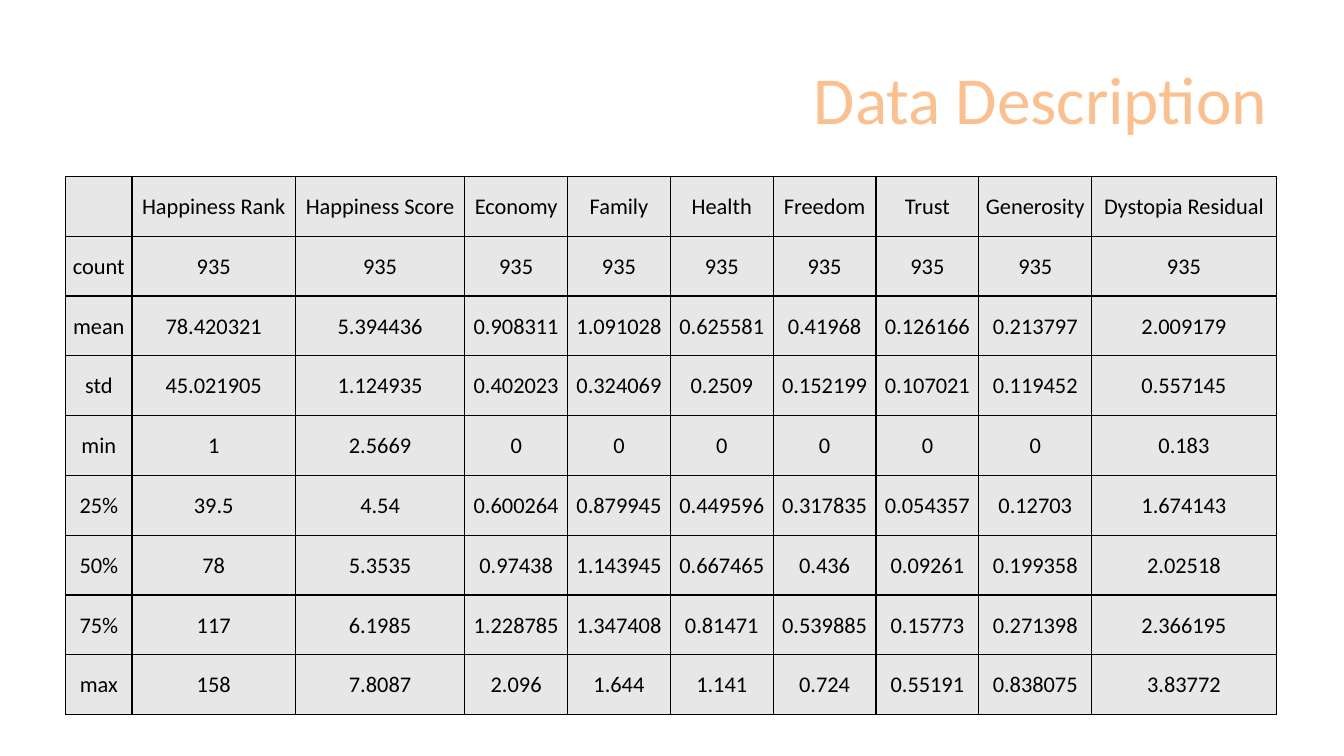
from dataclasses import dataclass

from lxml.etree import SubElement
from pptx import Presentation
from pptx.dml.color import RGBColor as RGB
from pptx.enum.text import MSO_ANCHOR as Anchor, PP_ALIGN as Align
from pptx.oxml.ns import qn
from pptx.util import Inches, Pt


@dataclass(frozen=True)
class Theme:
    font: str = "Calibri"
    title_color: str = "FAC090"
    text_color: str = "000000"
    cell_color: str = "E7E7E7"
    border_color: str = "000000"
    title_size: int = 48
    cell_size: int = 16
    border_width: int = 1


theme = Theme()


def write(frame, text, *, size, color, align):
    paragraph = frame.paragraphs[0]
    paragraph.alignment = align
    run = paragraph.add_run()
    run.text = text
    run.font.name = theme.font
    run.font.size = Pt(size)
    run.font.color.rgb = RGB.from_string(color)


def add_borders(cell):
    properties = cell._tc.get_or_add_tcPr()
    for side in ("a:lnL", "a:lnR", "a:lnT", "a:lnB"):
        line = SubElement(properties, qn(side), w=str(Pt(theme.border_width)))
        fill = SubElement(line, qn("a:solidFill"))
        SubElement(fill, qn("a:srgbClr"), val=theme.border_color)


# Slide and shared margins
prs = Presentation()
prs.slide_width, prs.slide_height = Inches(13.33), Inches(7.5)
slide = prs.slides.add_slide(prs.slide_layouts[5])
left, content_width = Inches(0.65), Inches(12.02)

# Title
heading = slide.shapes.title
heading.left, heading.top = left, Inches(0.41)
heading.width, heading.height = content_width, Inches(1.11)
heading.text_frame.vertical_anchor = Anchor.MIDDLE
write(heading.text_frame, "Data Description", size=theme.title_size,
      color=theme.title_color, align=Align.RIGHT)

# Statistics: one row per measure, one column per variable
variables = ["Happiness Rank", "Happiness Score", "Economy", "Family", "Health",
             "Freedom", "Trust", "Generosity", "Dystopia Residual"]
measures = [
    "mean 78.420321 5.394436 0.908311 1.091028 0.625581 0.41968 0.126166 0.213797 2.009179",
    "std 45.021905 1.124935 0.402023 0.324069 0.2509 0.152199 0.107021 0.119452 0.557145",
    "min 1 2.5669 0 0 0 0 0 0 0.183",
    "25% 39.5 4.54 0.600264 0.879945 0.449596 0.317835 0.054357 0.12703 1.674143",
    "50% 78 5.3535 0.97438 1.143945 0.667465 0.436 0.09261 0.199358 2.02518",
    "75% 117 6.1985 1.228785 1.347408 0.81471 0.539885 0.15773 0.271398 2.366195",
    "max 158 7.8087 2.096 1.644 1.141 0.724 0.55191 0.838075 3.83772",
]
statistics = [
    ["", *variables],
    ["count"] + ["935"] * len(variables),
    *(measure.split() for measure in measures),
]
column_widths = [0.66, 1.62, 1.68] + [1.02] * 5 + [1.12, 1.83]

# Table
summary = slide.shapes.add_table(
    len(statistics), len(column_widths), left, Inches(1.75),
    content_width, Inches(5.34)).table
summary.first_row = summary.horz_banding = False
for column, width in zip(summary.columns, column_widths):
    column.width = Inches(width)

for r, values in enumerate(statistics):
    for c, value in enumerate(values):
        cell = summary.cell(r, c)
        cell.margin_left = cell.margin_right = cell.margin_top = Inches(0.01)
        cell.margin_bottom = 0
        cell.vertical_anchor = Anchor.MIDDLE
        add_borders(cell)
        cell.fill.solid()
        cell.fill.fore_color.rgb = RGB.from_string(theme.cell_color)
        if value:
            write(cell.text_frame, value, size=theme.cell_size,
                  color=theme.text_color, align=Align.CENTER)

prs.save("out.pptx")
